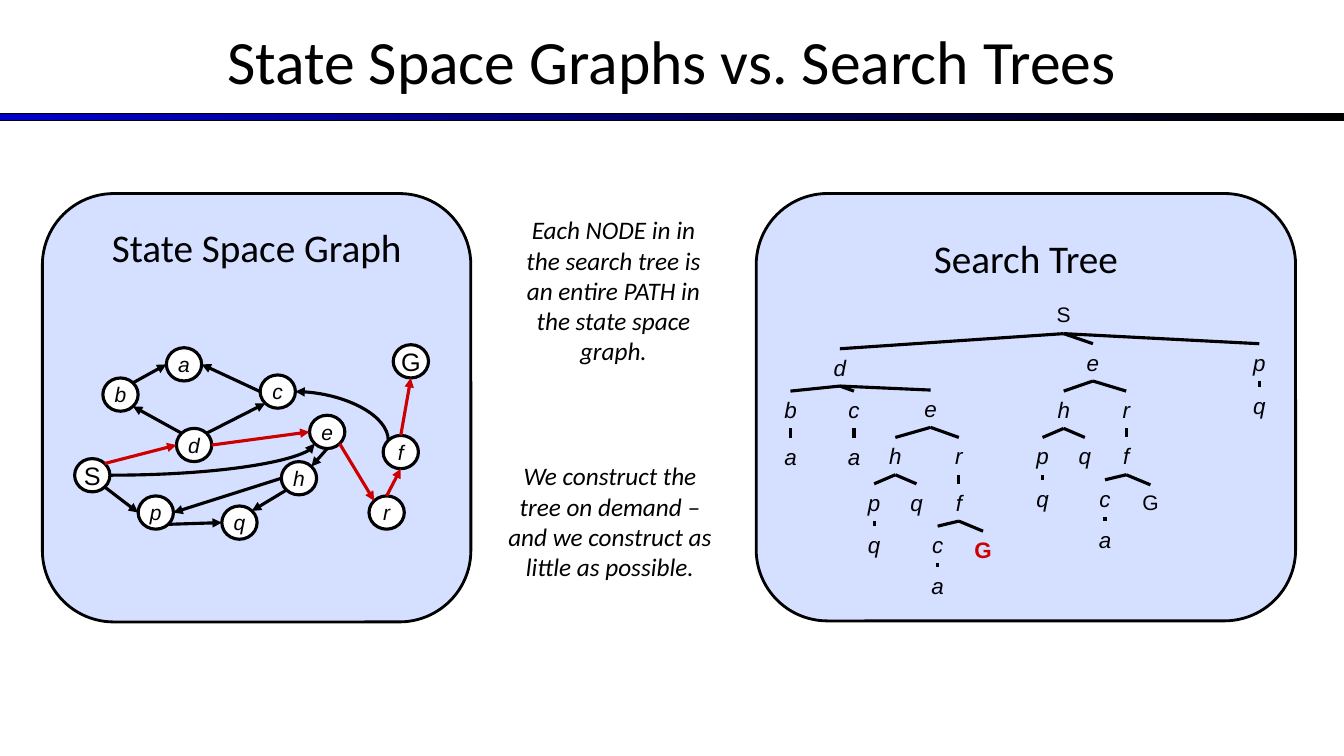
from dataclasses import dataclass
from math import cos, radians, sin

from lxml import etree
from pptx import Presentation
from pptx.dml.color import RGBColor
from pptx.enum.shapes import MSO_CONNECTOR as Connector, MSO_SHAPE as Shape
from pptx.enum.text import MSO_ANCHOR as Anchor, PP_ALIGN as Align
from pptx.oxml.ns import qn
from pptx.util import Inches, Pt

BLACK = RGBColor(0x00, 0x00, 0x00)
WHITE = RGBColor(0xFF, 0xFF, 0xFF)
BLUE = RGBColor(0x00, 0x00, 0xCC)
RED = RGBColor(0xCC, 0x00, 0x00)
PALE_BLUE = RGBColor(0xD5, 0xDF, 0xFF)

CIRCLE_WIDTH, CIRCLE_HEIGHT = 0.35, 0.33
LABEL_HEIGHT = 0.37
COMPASS = {"E": 0, "SE": 45, "S": 90, "SW": 135, "W": 180, "NW": 225, "N": 270, "NE": 315}

# Upper left corner of each state, measured from the panel corner
STATES = {
    "S": (0.32, 2.63), "G": (3.48, 1.5), "d": (1.33, 2.33), "b": (0.6, 1.83),
    "p": (0.95, 3.0), "q": (1.78, 3.1), "c": (2.16, 1.8), "e": (2.65, 2.2),
    "h": (2.37, 2.66), "a": (1.23, 1.53), "f": (3.38, 2.4), "r": (3.24, 3.0),
}
STEPS = [
    ("S", "SE", "p", "W"), ("p", "SE", "q", "W"), ("h", "SW", "q", "NE"),
    ("h", "W", "p", "E"), ("e", "S", "h", "NE"), ("d", "NW", "b", "SE"),
    ("b", "NE", "a", "W"), ("c", "W", "a", "E"), ("d", "NE", "c", "SW"),
]
SOLUTION_STEPS = [
    ("S", "NE", "d", "W"), ("d", "E", "e", "W"), ("e", "SE", "r", "NW"),
    ("r", "N", "f", "S"), ("f", "N", "G", "S"),
]


@dataclass
class Node:
    """A tree node, offset from its parent in inches."""
    label: str
    dx: float
    dy: float
    children: tuple = ()
    solved: bool = False


def expand_e(dx, dy, h_dx, r_dx, solved):
    h = Node("h", h_dx, 0.47, (
        Node("p", -0.21, 0.46, (Node("q", 0, 0.42),)),
        Node("q", 0.21, 0.46),
    ))
    f = Node("f", 0, 0.46, (
        Node("c", -0.21, 0.42, (Node("a", 0, 0.41),)),
        Node("G", 0.24, 0.47, solved=solved),
    ))
    return Node("e", dx, dy, (h, Node("r", r_dx, 0.47, (f,))))


SEARCH_TREE = Node("S", 3.05, 1.02, (
    Node("d", -2.22, 0.52, (
        Node("b", -0.49, 0.42, (Node("a", 0, 0.47),)),
        Node("c", 0.14, 0.42, (Node("a", 0, 0.47),)),
        expand_e(0.9, 0.41, -0.35, 0.28, True),
    )),
    expand_e(0.29, 0.47, -0.29, 0.33, False),
    Node("p", 1.94, 0.47, (Node("q", 0, 0.43),)),
))


def set_font(paragraph, size, name, color=BLACK, italic=False, bold=False):
    paragraph.alignment = Align.CENTER
    font = paragraph.font
    font.size, font.name, font.italic, font.bold = Pt(size), name, italic, bold
    font.color.rgb = color


def add_text(shapes, text, left, top, width, height, size, name, **style):
    box = shapes.add_textbox(Inches(left), Inches(top), Inches(width), Inches(height))
    box.text_frame.word_wrap = True
    box.text_frame.text = text
    set_font(box.text_frame.paragraphs[0], size, name, **style)


def add_outlined(shapes, kind, left, top, width, height, fill, line_width):
    shape = shapes.add_shape(kind, Inches(left), Inches(top), Inches(width), Inches(height))
    shape.shadow.inherit = False
    shape.fill.solid()
    shape.fill.fore_color.rgb = fill
    shape.line.color.rgb = BLACK
    shape.line.width = Pt(line_width)
    return shape


def add_line(shapes, start, end, color=BLACK, arrow=None, curved=False):
    """Draw a line; arrow is "headEnd" (at start) or "tailEnd" (at end)."""
    kind = Connector.CURVE if curved else Connector.STRAIGHT
    connector = shapes.add_connector(kind, *map(Inches, start + end))
    connector.line.color.rgb = color
    connector.line.width = Pt(2.25)
    properties = connector._element.spPr
    if arrow:
        etree.SubElement(connector.line._get_or_add_ln(), qn(f"a:{arrow}"), type="triangle")
    if curved:
        properties.find(qn("a:prstGeom")).set("prst", "curvedConnector2")
    etree.SubElement(properties, qn("a:effectLst"))


def add_header(slide, width):
    bar = add_outlined(slide.shapes, Shape.RECTANGLE, 0, 1.13, width, 0.07, BLUE, 0.75)
    bar.fill.gradient()
    bar.fill.gradient_angle = 0
    for stop, color, position in zip(bar.fill.gradient_stops, (BLUE, BLACK), (0, 1)):
        stop.color.rgb = color
        stop.position = position
    title = slide.shapes.title
    title.left, title.top = Inches(0), Inches(-0.03)
    title.width, title.height = Inches(width), Inches(1.25)
    title.text_frame.text = "State Space Graphs vs. Search Trees"
    title.text_frame.vertical_anchor = Anchor.MIDDLE
    set_font(title.text_frame.paragraphs[0], 44, "Calibri")


def add_graph_panel(slide, left, top, width, height):
    add_outlined(slide.shapes, Shape.ROUNDED_RECTANGLE, left, top, width, height, PALE_BLUE, 2)
    add_text(slide.shapes, "State Space Graph", left + 0.25, top + 0.25, width - 0.5, 0.57,
             28, "Calibri")
    shapes = slide.shapes.add_group_shape().shapes
    for label, (x, y) in STATES.items():
        circle = add_outlined(shapes, Shape.FLOWCHART_CONNECTOR, left + x, top + y,
                              CIRCLE_WIDTH, CIRCLE_HEIGHT, WHITE, 2.25)
        frame = circle.text_frame
        frame.text = label
        frame.word_wrap = False
        frame.vertical_anchor = Anchor.MIDDLE
        terminal = label.isupper()
        set_font(frame.paragraphs[0], 18 if terminal else 15, "Arial", italic=not terminal)

    def rim(label, direction):
        x, y = STATES[label]
        angle = radians(COMPASS[direction])
        return (left + x + CIRCLE_WIDTH / 2 * (1 + cos(angle)),
                top + y + CIRCLE_HEIGHT / 2 * (1 + sin(angle)))

    for steps, color in ((STEPS, BLACK), (SOLUTION_STEPS, RED)):
        for source, leaving, target, entering in steps:
            add_line(shapes, rim(source, leaving), rim(target, entering), color, "tailEnd")
    add_line(shapes, rim("c", "E"), rim("f", "NW"), arrow="headEnd", curved=True)
    add_line(shapes, rim("S", "E"), rim("e", "SW"), arrow="tailEnd", curved=True)


def add_branch(shapes, node, parent_x, parent_y):
    """Draw a node and everything below it; return its top centre."""
    x, y = parent_x + node.dx, parent_y + node.dy
    terminal = node.label.isupper()
    width = 0.69 if terminal else 0.35
    add_text(shapes, node.label, x - width / 2, y, width, LABEL_HEIGHT,
             15 if terminal and not node.solved else 16, "Arial",
             color=RED if node.solved else BLACK, italic=not terminal, bold=node.solved)
    for child in node.children:
        add_line(shapes, (x, y + LABEL_HEIGHT), add_branch(shapes, child, x, y))
    return x, y


def add_tree_panel(slide, left, top, width, height):
    add_outlined(slide.shapes, Shape.ROUNDED_RECTANGLE, left, top, width, height, PALE_BLUE, 2)
    add_text(slide.shapes, "Search Tree", left, top + 0.36, width, 0.57, 28, "Calibri")
    add_branch(slide.shapes, SEARCH_TREE, left, top)


def add_remarks(slide, left, top, width):
    add_text(slide.shapes,
             "Each NODE in in the search tree is an entire PATH in the state space graph.",
             left + 0.08, top, width - 0.09, 1.62, 18, "Calibri", italic=True)
    add_text(slide.shapes,
             "We construct the tree on demand – and we construct as little as possible.",
             left, top + 2.44, width, 1.31, 18, "Calibri", italic=True)


def main():
    presentation = Presentation()
    presentation.slide_width, presentation.slide_height = Inches(13.33), Inches(7.5)
    slide = presentation.slides.add_slide(presentation.slide_layouts[5])
    add_header(slide, 13.33)
    add_graph_panel(slide, 0.42, 1.92, 4.25, 4.25)
    add_tree_panel(slide, 7.5, 1.92, 5.35, 4.24)
    add_remarks(slide, 4.92, 2.08, 2.26)
    presentation.save("out.pptx")


if __name__ == "__main__":
    main()
